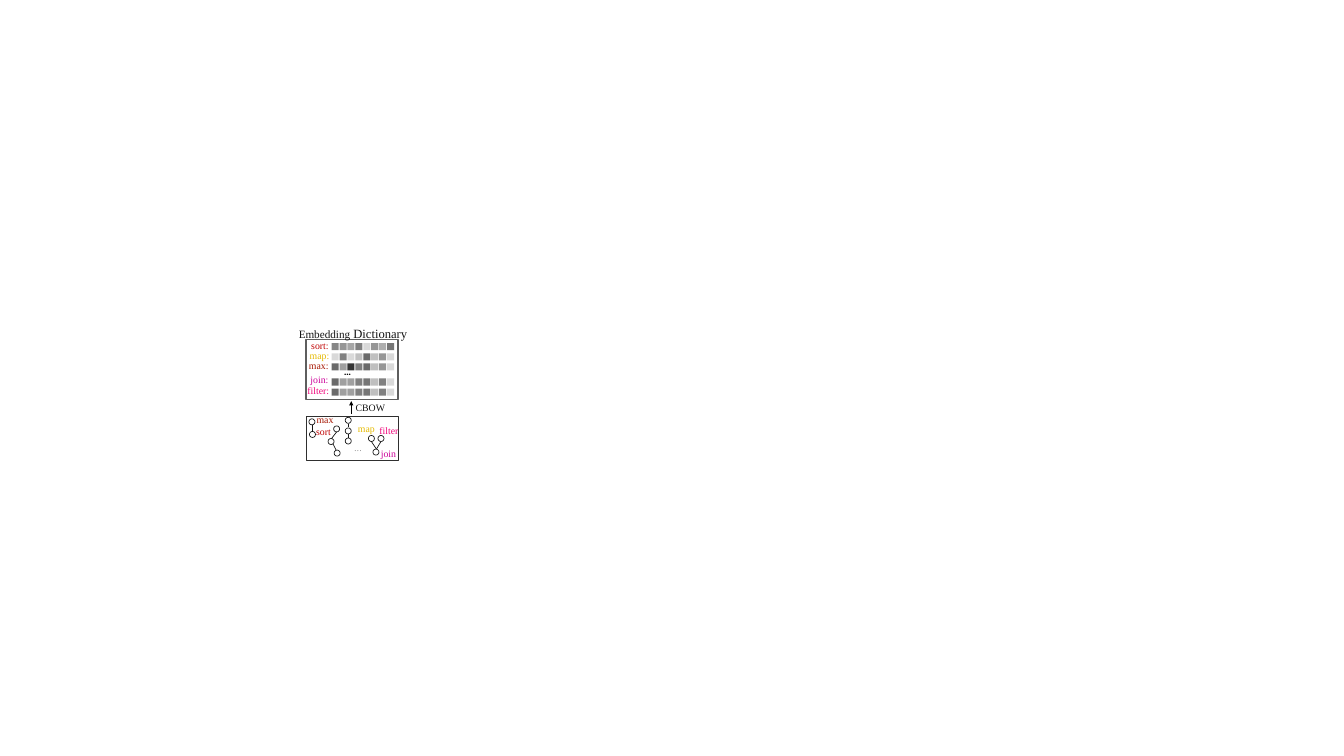
from lxml import etree
from pptx import Presentation
from pptx.dml.color import RGBColor
from pptx.enum.shapes import MSO_CONNECTOR, MSO_SHAPE
from pptx.enum.text import MSO_ANCHOR, MSO_AUTO_SIZE, PP_ALIGN
from pptx.oxml.ns import qn
from pptx.util import Inches, Pt

BLACK = RGBColor(0x00, 0x00, 0x00)
INK = RGBColor(0x15, 0x15, 0x15)
CHARCOAL = RGBColor(0x2F, 0x2F, 0x2F)
GRAY = RGBColor(0x5E, 0x5E, 0x5E)
WHITE = RGBColor(0xFF, 0xFF, 0xFF)
SORT_RED = RGBColor(0xC0, 0x00, 0x00)
MAX_RED = RGBColor(0xA6, 0x15, 0x00)
MAP_GOLD = RGBColor(0xE5, 0xBA, 0x00)
JOIN_PURPLE = RGBColor(0xCC, 0x00, 0x99)
FILTER_PINK = RGBColor(0xF1, 0x00, 0x79)

NODE = 0.12
CELL = 0.14
CELL_LEFT, CELL_PITCH = 6.58, 0.1575


def add_box(shapes, kind, box, fill=None, line=None, width=1):
    """Add a preset shape, with no fill or outline unless one is given."""
    shape = shapes.add_shape(kind, *map(Inches, box))
    shape.shadow.inherit = False
    if fill is None:
        shape.fill.background()
    else:
        shape.fill.solid()
        shape.fill.fore_color.rgb = fill
    if line is None:
        shape.line.fill.background()
    else:
        shape.line.color.rgb = line
        shape.line.width = Pt(width)


def add_label(shapes, box, runs, font="Times New Roman", bold=False):
    """Add a centred text box from (text, size, colour) runs."""
    label = shapes.add_textbox(*map(Inches, box))
    frame = label.text_frame
    frame.word_wrap = True
    frame.auto_size = MSO_AUTO_SIZE.SHAPE_TO_FIT_TEXT
    paragraph = frame.paragraphs[0]
    paragraph.alignment = PP_ALIGN.CENTER
    for text, size, color in runs:
        run = paragraph.add_run()
        run.text = text
        for name, value in {"name": font, "size": Pt(size), "bold": bold}.items():
            setattr(run.font, name, value)
        run.font.color.rgb = color
    return frame


prs = Presentation()
prs.slide_width, prs.slide_height = Inches(26.67), Inches(15)
slide = prs.slides.add_slide(prs.slide_layouts[6])

# Arrow from the corpus to the dictionary, then the corpus frame
links = [(slide.shapes, (6.97, 8.21, 6.97, 7.96), BLACK, 2)]
add_box(slide.shapes, MSO_SHAPE.RECTANGLE, (6.07, 8.26, 1.83, 0.87), line=CHARCOAL)

# Trees: node corners and edges
trees = [
    ([(6.13, 8.31), (6.14, 8.56)], [(6.2, 8.44, 6.2, 8.56)]),
    ([(6.85, 8.28), (6.85, 8.49), (6.85, 8.69)],
     [(6.91, 8.41, 6.91, 8.48), (6.91, 8.61, 6.91, 8.69)]),
    ([(6.62, 8.45), (6.63, 8.93), (6.51, 8.7)],
     [(6.61, 8.81, 6.67, 8.93), (6.68, 8.57, 6.58, 8.7)]),
    ([(7.4, 8.91), (7.5, 8.64), (7.31, 8.64)],
     [(7.47, 8.91, 7.56, 8.76), (7.47, 8.91, 7.37, 8.76)]),
]
for nodes, edges in trees:
    tree = slide.shapes.add_group_shape().shapes
    for left, top in nodes:
        add_box(tree, MSO_SHAPE.OVAL, (left, top, NODE, NODE), WHITE, INK)
    links += [(tree, edge, INK, 1) for edge in edges]

for shapes, ends, color, width in links:
    link = shapes.add_connector(MSO_CONNECTOR.STRAIGHT, *map(Inches, ends))
    link.line.color.rgb = color
    link.line.width = Pt(width)
    properties = link.line._get_or_add_ln().getparent()
    etree.SubElement(properties, qn("a:effectLst"))
    if shapes is slide.shapes:
        etree.SubElement(link.line._get_or_add_ln(), qn("a:tailEnd"), type="triangle")

# Words beside the trees
words = [
    ("sort", (6.16, 8.39, 0.52, 0.34), 14, SORT_RED),
    ("max", (6.12, 8.16, 0.66, 0.34), 14, MAX_RED),
    ("join", (7.43, 8.83, 0.56, 0.34), 14, JOIN_PURPLE),
    ("map", (6.99, 8.34, 0.56, 0.34), 14, MAP_GOLD),
    ("filter", (7.4, 8.38, 0.64, 0.34), 14, FILTER_PINK),
    ("…", (6.93, 8.75, 0.3, 0.29), 11, GRAY),
    ("CBOW", (6.91, 7.93, 0.88, 0.34), 14, INK),
]
for word, box, size, color in words:
    add_label(slide.shapes, box, [(word, size, color)])

# Embedding dictionary: one row of shaded cells per word
dictionary = slide.shapes.add_group_shape().shapes
add_box(dictionary, MSO_SHAPE.RECTANGLE, (6.07, 6.74, 1.83, 1.19), line=GRAY, width=2)
add_label(dictionary, (5.81, 6.41, 2.39, 0.4),
          [("Embedding", 16, INK), (" Dictionary", 18, INK)])

entries = [
    ("sort:", (6.03, 6.69, 0.64), SORT_RED, 6.81, "86 96 A6 80 D9 96 AE 76"),
    ("map:", (6.01, 6.89, 0.66), MAP_GOLD, 7.01, "D9 80 D9 C0 6A C0 96 D9"),
    ("max:", (6.03, 7.09, 0.59), MAX_RED, 7.21, "6A A0 35 80 6A BF 96 D9"),
    ("join:", (6.04, 7.37, 0.6), JOIN_PURPLE, 7.51, "6A A0 A0 80 76 BF 80 D9"),
    ("filter:", (5.94, 7.59, 0.75), FILTER_PINK, 7.71, "6A A0 A0 80 76 BF 80 D9"),
]
for word, (left, top, width), color, row_top, shades in entries:
    add_label(dictionary, (left, top, width, 0.34), [(word, 14, color)])
    for column, shade in enumerate(shades.split()):
        cell = (CELL_LEFT + column * CELL_PITCH, row_top, CELL, CELL)
        add_box(dictionary, MSO_SHAPE.RECTANGLE, cell, RGBColor.from_string(shade * 3))

more_rows = add_label(dictionary, (6.74, 7.2, 0.31, 0.35), [("…", 14, BLACK)], "Roboto", True)
more_rows.word_wrap = False
more_rows.vertical_anchor = MSO_ANCHOR.MIDDLE
for side in ("left", "top", "right", "bottom"):
    setattr(more_rows, f"margin_{side}", Inches(0.06))

prs.save("out.pptx")
